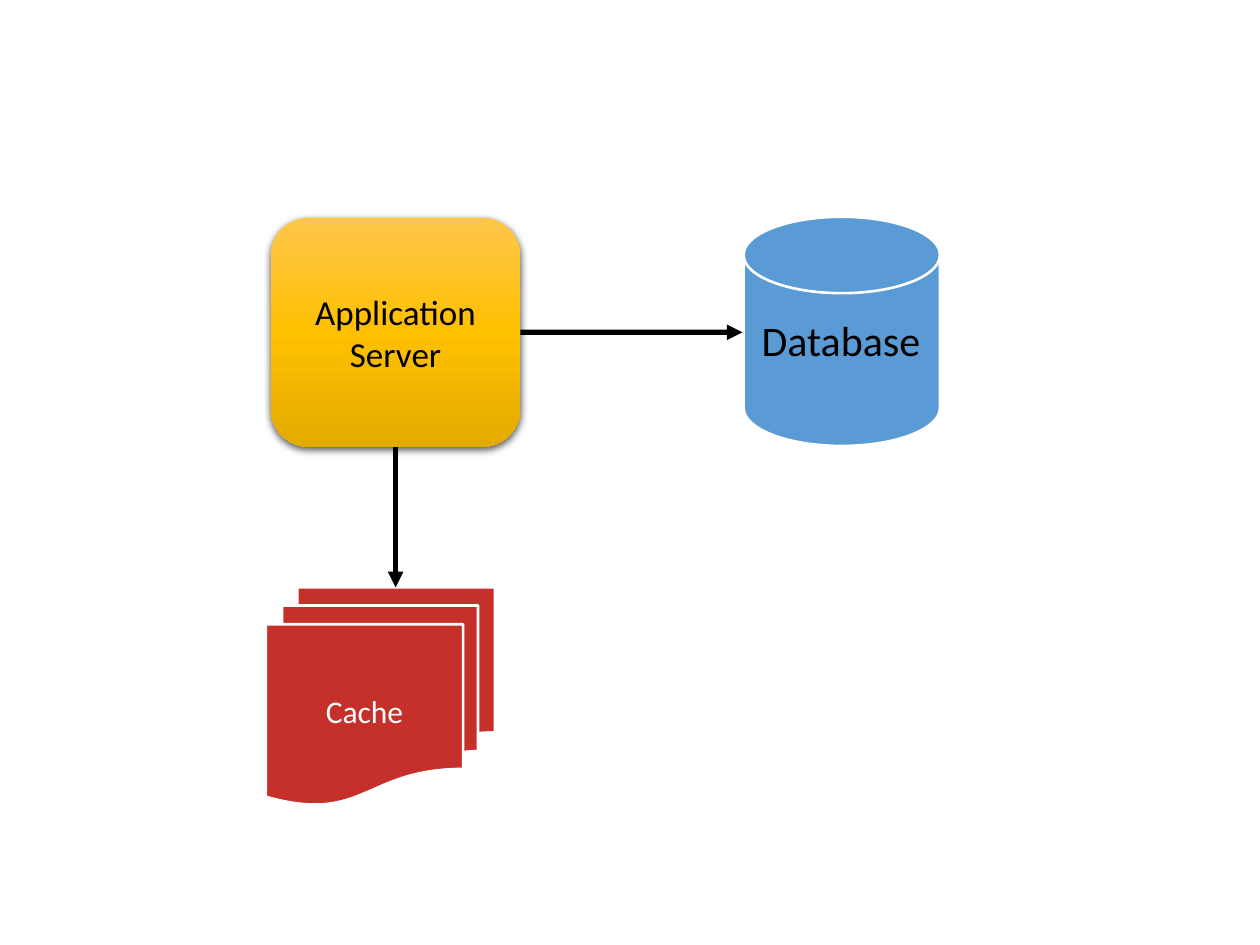
from dataclasses import dataclass
from lxml.etree import SubElement as Sub
from pptx import Presentation as Deck
from pptx.dml.color import RGBColor as Rgb
from pptx.enum.shapes import MSO_CONNECTOR as Wire, MSO_SHAPE as Form
from pptx.enum.text import MSO_ANCHOR as Anchor, MSO_AUTO_SIZE as Fit, PP_ALIGN as Align
from pptx.oxml.ns import qn
from pptx.util import Cm, Pt


@dataclass(frozen=True)
class Theme:
    font: str = "Calibri"
    ink: str = "000000"
    paper: str = "FFFFFF"
    blue: str = "5B9BD5"
    red: str = "C6302B"
    gold: tuple = ((0, "FFC64B"), (50, "FFC000"), (100, "E3AB00"))
    small: int = 18
    body: int = 20
    large: int = 24
    edge: float = 1.5
    arrow: float = 3


def apply(item, values):
    for name, value in values.items():
        setattr(item, name, value)


class Board:
    def __init__(self, slide, theme):
        self.slide, self.theme = slide, theme

    def text(self, shape, words, size, color, **frame):
        box = shape.text_frame
        apply(box, {"word_wrap": True, "vertical_anchor": Anchor.MIDDLE, **frame})
        para = box.paragraphs[0]
        para.alignment = Align.CENTER
        run = para.add_run()
        run.text = words
        apply(run.font, {"name": self.theme.font, "size": Pt(size)})
        run.font.color.rgb = Rgb.from_string(color)

    def shape(self, form, area, fill=None, turn=0):
        shape = self.slide.shapes.add_shape(form, *map(Cm, area))
        shape.rotation = turn
        shape.shadow.inherit = False
        if fill:
            shape.fill.solid()
            shape.fill.fore_color.rgb = Rgb.from_string(fill)
            shape.line.color.rgb = Rgb.from_string(self.theme.paper)
            shape.line.width = Pt(self.theme.edge)
        else:
            shape.line.fill.background()
        return shape

    def blend(self, shape, stops):
        shape.fill.gradient()
        shape.fill.gradient_angle = 270
        tray = shape.element.spPr.find(qn("a:gradFill")).find(qn("a:gsLst"))
        for old in list(tray):
            tray.remove(old)
        for pos, color in stops:
            stop = Sub(tray, qn("a:gs"), pos=str(pos * 1000))
            Sub(stop, qn("a:srgbClr"), val=color)

    def shade(self, shape):
        tray = shape.element.spPr.find(qn("a:effectLst"))
        cast = Sub(tray, qn("a:outerShdw"), blurRad=str(Pt(4.5)), dist=str(Pt(1.5)),
                   dir="5400000", algn="ctr", rotWithShape="0")
        tint = Sub(cast, qn("a:srgbClr"), val=self.theme.ink)
        Sub(tint, qn("a:alpha"), val="63000")

    def label(self, words, area, size, color):
        box = self.slide.shapes.add_textbox(*map(Cm, area))
        self.text(box, words, size, color, word_wrap=False,
                  vertical_anchor=Anchor.TOP, auto_size=Fit.SHAPE_TO_FIT_TEXT)

    def arrow(self, start, end, source, site):
        wire = self.slide.shapes.add_connector(Wire.STRAIGHT, *map(Cm, start + end))
        wire.begin_connect(source, site)
        wire.line.color.rgb = Rgb.from_string(self.theme.ink)
        wire.line.width = Pt(self.theme.arrow)
        props = wire.element.spPr
        Sub(props.find(qn("a:ln")), qn("a:tailEnd"), type="triangle")
        Sub(props, qn("a:effectLst"))


def main():
    deck = Deck()
    apply(deck, {"slide_width": Cm(25.4), "slide_height": Cm(19.05)})
    theme = Theme()
    board = Board(deck.slides.add_slide(deck.slide_layouts[6]), theme)

    # Application server
    left, top, wide, high = area = (5.46, 4.39, 5.03, 4.62)
    mid_x, mid_y = left + wide / 2, top + high / 2
    server = board.shape(Form.ROUNDED_RECTANGLE, area)
    board.blend(server, theme.gold)
    board.shade(server)
    board.text(server, "Application Server", theme.body, theme.ink)

    # Database and the arrow to it
    drum = (14.66, 4.7, 4.62, 3.96)
    board.shape(Form.FLOWCHART_DIRECT_ACCESS_STORAGE, drum, theme.blue, 270)
    board.arrow((left + wide, mid_y), (14.97, mid_y), server, 3)
    board.label("Database", (15.09, 6.22, 3.73, 1.27), theme.large, theme.ink)

    # Cache and the arrow to it
    store = (5.36, 11.84, 4.62, 4.39)
    cache = board.shape(Form.FLOWCHART_MULTIDOCUMENT, store, theme.red)
    board.text(cache, "Cache", theme.small, theme.paper)
    board.arrow((mid_x, top + high), (mid_x, store[1]), server, 2)

    deck.save("out.pptx")


if __name__ == "__main__":
    main()
